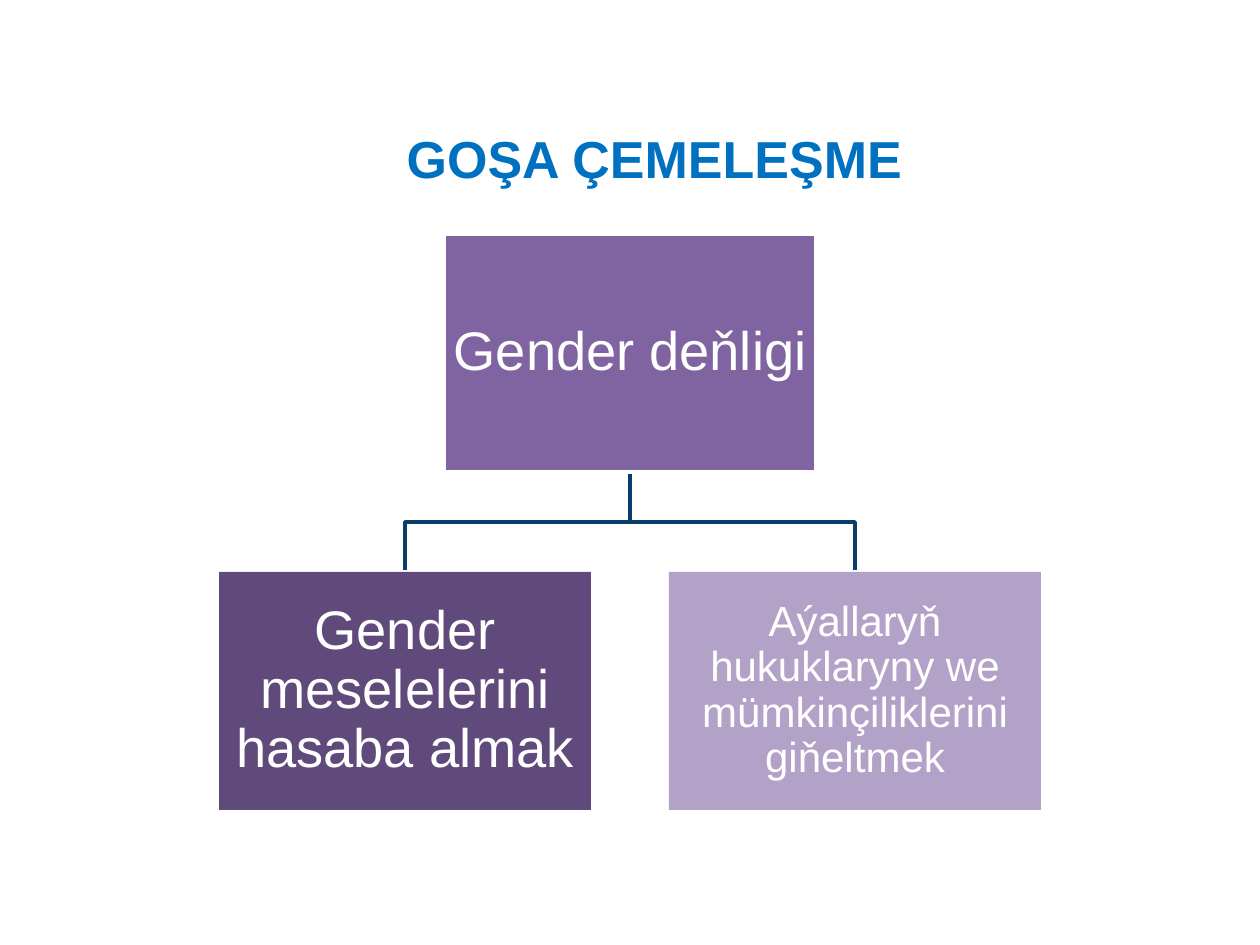
"""Build the slide on the two sides of gender equality."""
from dataclasses import dataclass

from pptx import Presentation
from pptx.dml.color import RGBColor
from pptx.enum.shapes import MSO_SHAPE
from pptx.enum.text import MSO_ANCHOR, PP_ALIGN
from pptx.util import Emu, Pt

RECTANGLE = MSO_SHAPE.RECTANGLE
MIDDLE = MSO_ANCHOR.MIDDLE
CENTER = PP_ALIGN.CENTER
EMU_PER_PX = 914400 / 126
TITLE_ONLY = 5


@dataclass(frozen=True)
class Theme:
    """Colours, font and type sizes of the slide."""
    font: str = "Arial"
    title: str = "0070C0"
    white: str = "FFFFFF"
    connector: str = "0A3C6C"
    parent: str = "8064A2"
    left_child: str = "604A7B"
    right_child: str = "B3A2C7"
    title_size: float = 29.7
    large_size: int = 31
    small_size: int = 24
    line_width: int = 2
    line_spacing: float = 0.9


def px(value):
    """Turn pixels into EMU."""
    return Emu(round(value * EMU_PER_PX))


class SlideBuilder:
    """Hold the theme and the current slide and draw its elements."""

    def __init__(self, slide, theme):
        """Keep the slide and the theme."""
        self.slide = slide
        self.theme = theme

    def label(self, shape, text, size, color, inset, bold=False):
        """Put one centred run into a shape."""
        frame = shape.text_frame
        frame.word_wrap = True
        frame.vertical_anchor = MIDDLE
        frame.margin_left = frame.margin_right = px(inset)
        frame.margin_top = frame.margin_bottom = px(2)
        paragraph = frame.paragraphs[0]
        paragraph.alignment = CENTER
        run = paragraph.add_run()
        run.text = text
        run.font.name = self.theme.font
        run.font.size = Pt(size)
        run.font.bold = bold
        run.font.color.rgb = RGBColor.from_string(color)
        return paragraph

    def title(self, text, left, top, width, height):
        """Place and fill the title placeholder."""
        shape = self.slide.shapes.title
        shape.left, shape.top, shape.width, shape.height = map(px, (left, top, width, height))
        self.label(shape, text, self.theme.title_size, self.theme.title, 13, bold=True)

    def branch(self, points):
        """Draw an open bent line through the points."""
        builder = self.slide.shapes.build_freeform(*points[0], scale=EMU_PER_PX)
        builder.add_line_segments(points[1:], close=False)
        shape = builder.convert_to_shape()
        shape.shadow.inherit = False
        shape.fill.background()
        self.outline(shape, self.theme.connector)

    def outline(self, shape, color):
        """Give a shape a line of the common width."""
        shape.line.color.rgb = RGBColor.from_string(color)
        shape.line.width = Pt(self.theme.line_width)

    def box(self, text, left, top, width, height, fill, size, outlined=False):
        """Draw a filled box with its label."""
        shape = self.slide.shapes.add_shape(RECTANGLE, *map(px, (left, top, width, height)))
        shape.shadow.inherit = False
        shape.fill.solid()
        shape.fill.fore_color.rgb = RGBColor.from_string(fill)
        if outlined:
            self.outline(shape, self.theme.white)
        else:
            shape.line.fill.background()
        paragraph = self.label(shape, text, size, self.theme.white, 2)
        paragraph.line_spacing = self.theme.line_spacing


def main():
    """Build and save the presentation."""
    presentation = Presentation()
    presentation.slide_width, presentation.slide_height = px(1260), px(945)
    slide = presentation.slides.add_slide(presentation.slide_layouts[TITLE_ONLY])
    theme = Theme()
    builder = SlideBuilder(slide, theme)

    builder.title("GOŞA ÇEMELEŞME", 175, 94, 959, 128)

    center, width, height = 630, 372, 238
    parent_top, child_top, offset = 234, 572, 225
    parent_bottom = parent_top + height
    middle = (parent_bottom + child_top) // 2
    children = [
        ("Gender meselelerini hasaba almak", center - offset,
         theme.left_child, theme.large_size),
        ("Aýallaryň hukuklaryny we mümkinçiliklerini giňeltmek", center + offset,
         theme.right_child, theme.small_size),
    ]
    for _, x, _, _ in children:
        builder.branch([(center, parent_bottom), (center, middle),
                        (x, middle), (x, child_top - 2)])
    builder.box("Gender deňligi", center - width // 2, parent_top, width, height,
                theme.parent, theme.large_size, outlined=True)
    for text, x, fill, size in children:
        builder.box(text, x - width // 2, child_top, width, height, fill, size)

    presentation.save("out.pptx")


if __name__ == "__main__":
    main()
